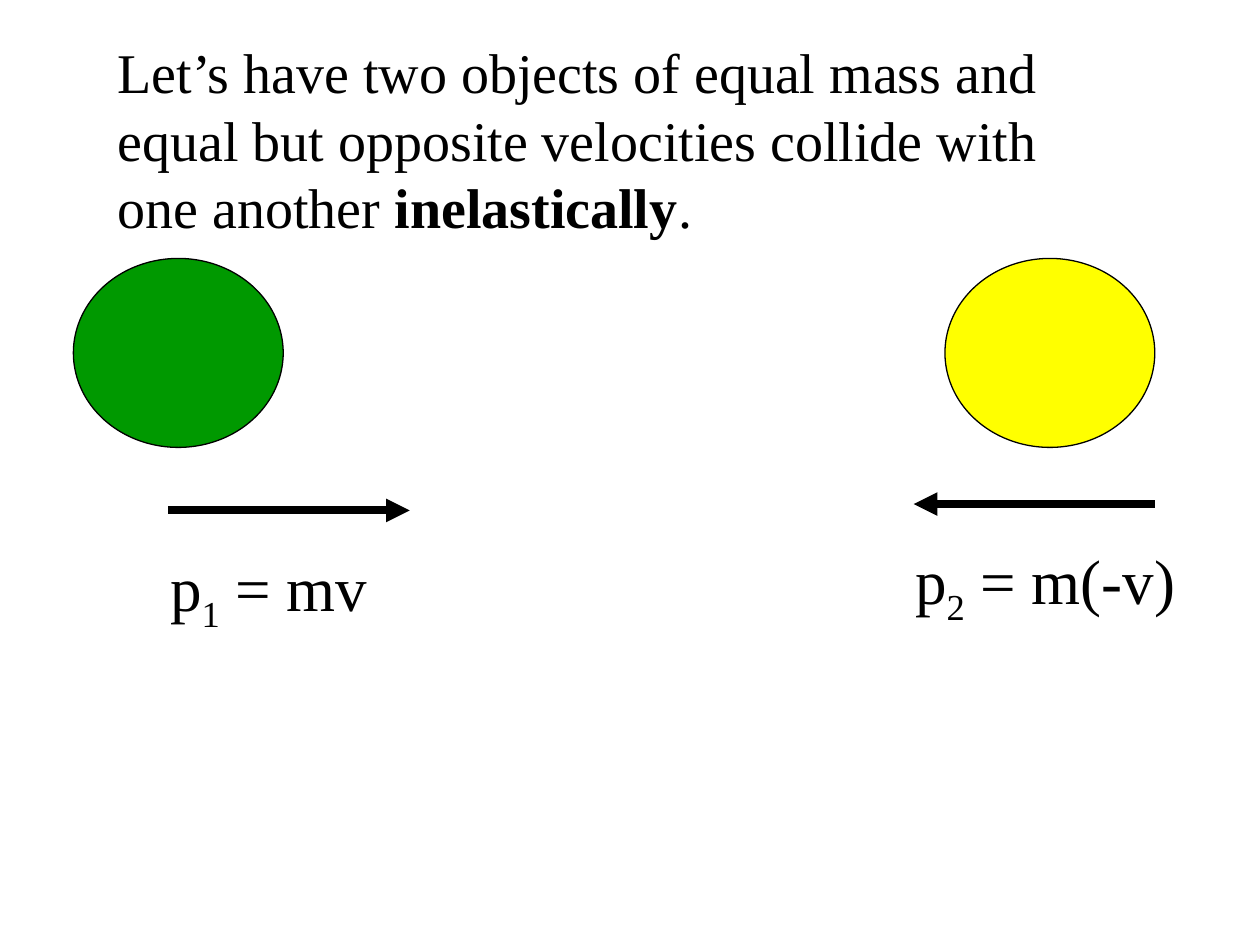
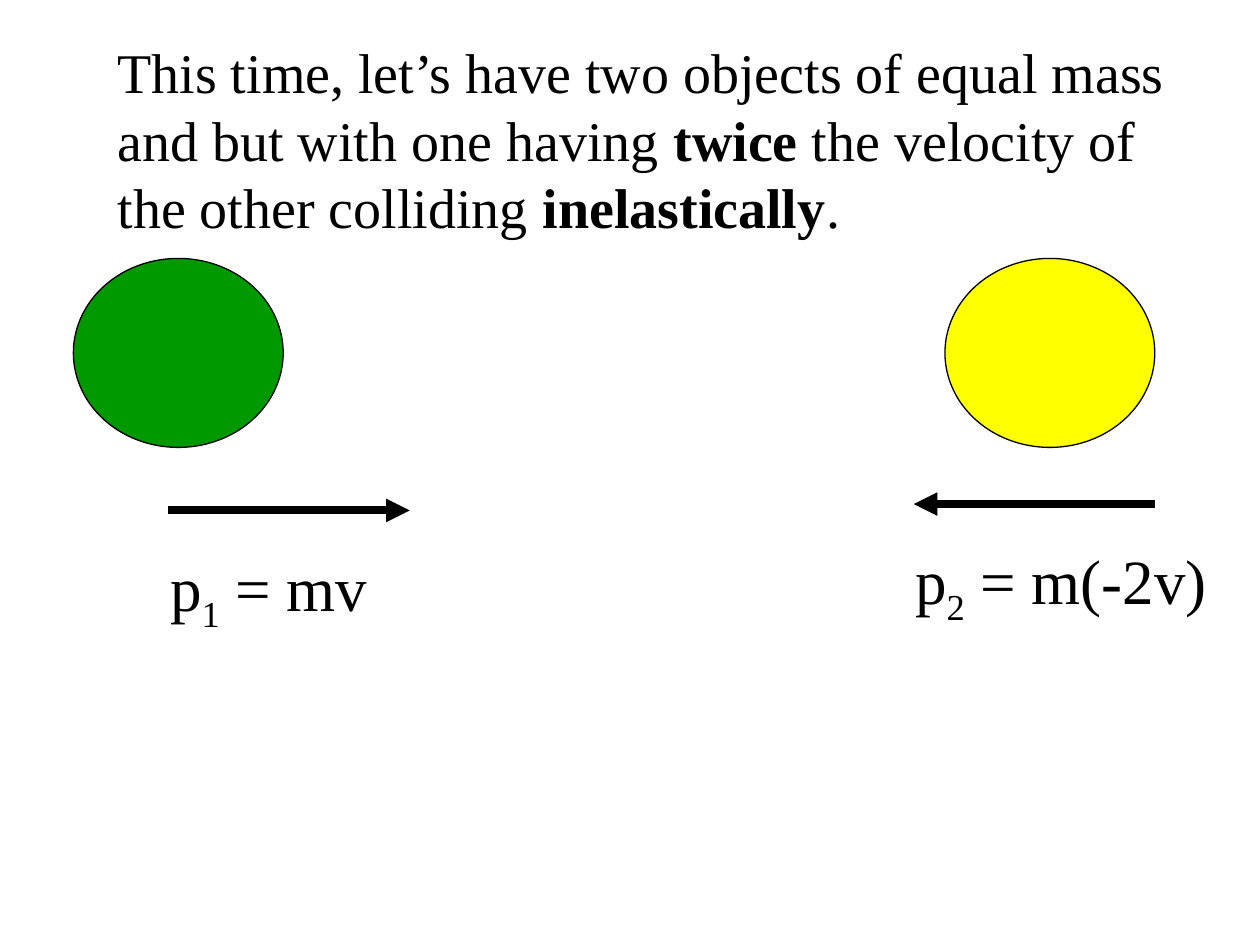
from pptx import Presentation
from pptx import util as u
from pptx.dml.color import RGBColor
from pptx.enum import shapes, text
from pptx.oxml.ns import qn
from lxml import etree

# Content: runs are (text, style); style is "", "bold" or "sub"
SLIDES = [
    {
        "intro": [("Let’s have two objects of equal mass and equal but opposite "
                   "velocities collide with one another ", ""),
                  ("inelastically", "bold"), (".", "")],
        "intro_width": 20.12,
        "momenta": [[("p", ""), ("1", "sub"), (" = mv", "")],
                    [("p", ""), ("2", "sub"), (" = m(-v)", "")]],
    },
    {
        "intro": [("This time, let’s have two objects of equal mass and but with "
                   "one having", ""), (" twice", "bold"),
                  (" the velocity of the other colliding ", ""),
                  ("inelastically", "bold"), (".", "")],
        "intro_width": 22.02,
        "momenta": [[("p", ""), ("1", "sub"), (" = mv", "")],
                    [("p", ""), ("2", "sub"), (" = m(-2v)", "")]],
    },
]

# Theme
THEME = {
    "font": "Times New Roman",
    "ink": RGBColor(0, 0, 0),
    "intro_size": u.Pt(32),
    "momentum_size": u.Pt(36),
    "outline": u.Pt(0.75),
    "arrow": u.Pt(4.5),
}

# Layout in cm: one entry per colliding object
BALL_TOP, BALL_W, BALL_H = 5.21, 4.23, 3.81
LABEL_GAP, LABEL_H = 0.64, 1.78
OBJECTS = [
    {"color": RGBColor(0, 0x99, 0), "ball_x": 1.48, "arrow_x": (3.39, 8.26),
     "arrow_y": 10.29, "label_x": 3.18, "label_w": 5.72},
    {"color": RGBColor(0xFF, 0xFF, 0), "ball_x": 19.05, "arrow_x": (23.28, 18.42),
     "arrow_y": 10.16, "label_x": 18.2, "label_w": 7.2},
]


def add_text(slide, box, runs, size):
    sp = slide.shapes.add_textbox(*(u.Cm(v) for v in box))
    tf = sp.text_frame
    tf.word_wrap = True
    tf.auto_size = text.MSO_AUTO_SIZE.SHAPE_TO_FIT_TEXT
    p = tf.paragraphs[0]
    # Space before: half a line
    before = etree.SubElement(p._p.get_or_add_pPr(), qn("a:spcBef"))
    etree.SubElement(before, qn("a:spcPct"), val="50000")
    for words, style in runs:
        r = p.add_run()
        r.text = words
        fmt = {"name": THEME["font"], "size": size, "bold": style == "bold"}
        for key, value in fmt.items():
            setattr(r.font, key, value)
        r.font.color.rgb = THEME["ink"]
        if style == "sub":
            r.font._element.set("baseline", "-25000")


def add_ball(slide, obj):
    sp = slide.shapes.add_shape(
        shapes.MSO_SHAPE.OVAL,
        *(u.Cm(v) for v in (obj["ball_x"], BALL_TOP, BALL_W, BALL_H)))
    sp.shadow.inherit = False
    sp.fill.solid()
    sp.fill.fore_color.rgb = obj["color"]
    sp.line.color.rgb = THEME["ink"]
    sp.line.width = THEME["outline"]


def add_arrow(slide, obj):
    start, end = (u.Cm(x) for x in obj["arrow_x"])
    y = u.Cm(obj["arrow_y"])
    cn = slide.shapes.add_connector(shapes.MSO_CONNECTOR.STRAIGHT, start, y, end, y)
    cn.line.color.rgb = THEME["ink"]
    cn.line.width = THEME["arrow"]
    etree.SubElement(cn.line._get_or_add_ln(), qn("a:tailEnd"), type="triangle")
    etree.SubElement(cn._element.spPr, qn("a:effectLst"))


def main():
    prs = Presentation()
    prs.slide_width, prs.slide_height = u.Cm(25.4), u.Cm(19.05)
    for content in SLIDES:
        slide = prs.slides.add_slide(prs.slide_layouts[6])
        for obj, momentum in zip(OBJECTS, content["momenta"]):
            add_ball(slide, obj)
            add_arrow(slide, obj)
            label = (obj["label_x"], obj["arrow_y"] + LABEL_GAP,
                     obj["label_w"], LABEL_H)
            add_text(slide, label, momentum, THEME["momentum_size"])
        intro = (2.12, 0.64, content["intro_width"], 4.32)
        add_text(slide, intro, content["intro"], THEME["intro_size"])
    prs.save("out.pptx")


if __name__ == "__main__":
    main()
